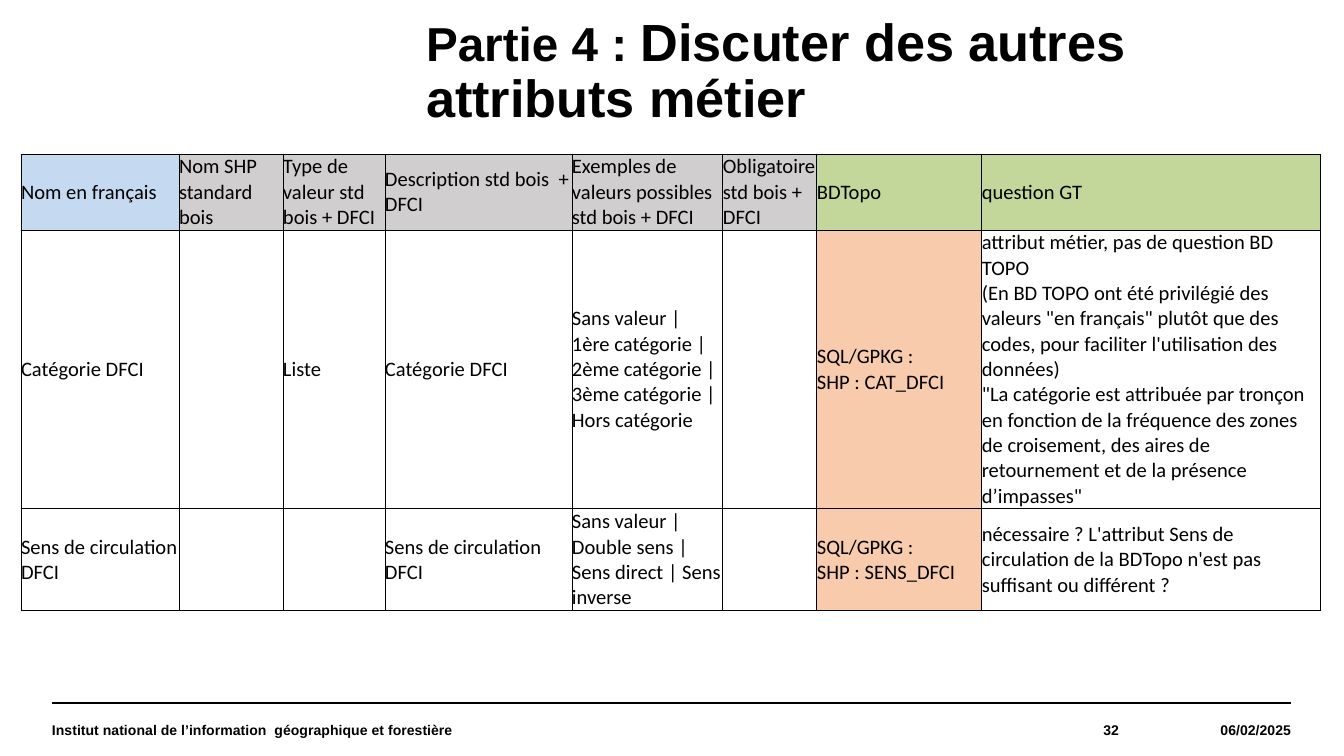
from lxml.etree import SubElement
from pptx import Presentation
from pptx.dml.color import RGBColor
from pptx.enum.shapes import MSO_CONNECTOR
from pptx.enum.text import MSO_ANCHOR, PP_ALIGN
from pptx.oxml.ns import qn
from pptx.util import Emu, Pt

PX = 914400 / 134.4
BLACK, BLUE, GREY, GREEN, ORANGE = "000000", "C5D9F1", "D0CECE", "C4D79B", "F8CBAD"
COLUMN_WIDTHS = [158, 104, 102, 187, 151, 94, 165, 339]
ROW_HEIGHTS = [76, 279, 102]
HEADER_FILLS = [BLUE] + [GREY] * 5 + [GREEN] * 2
BODY_FILLS = [None] * 6 + [ORANGE, None]
ROWS = [
    ["Nom en français", "Nom SHP standard bois", "Type de valeur std bois + DFCI",
     "Description std bois  + DFCI", "Exemples de valeurs possibles std bois + DFCI",
     "Obligatoire std bois + DFCI", "BDTopo", "question GT"],
    ["Catégorie DFCI", "", "Liste", "Catégorie DFCI",
     "Sans valeur | 1ère catégorie | 2ème catégorie | 3ème catégorie | Hors catégorie", "",
     "SQL/GPKG : \nSHP : CAT_DFCI",
     "attribut métier, pas de question BD TOPO\n(En BD TOPO ont été privilégié des valeurs "
     "\"en français\" plutôt que des codes, pour faciliter l'utilisation des données)\r"
     "\"La catégorie est attribuée par tronçon en fonction de la fréquence des zones de "
     "croisement, des aires de retournement et de la présence d’impasses\""],
    ["Sens de circulation DFCI", "", "", "Sens de circulation DFCI",
     "Sans valeur | Double sens | Sens direct | Sens inverse", "",
     "SQL/GPKG : \nSHP : SENS_DFCI",
     "nécessaire ? L'attribut Sens de circulation de la BDTopo n'est pas suffisant ou différent ?"],
]


def px(length):
    """Turn pixels into EMU."""
    return Emu(round(length * PX))


def color(value):
    """Turn a hex string into a colour."""
    return RGBColor.from_string(value)


def add_run(paragraph, text, size, font, bold=False):
    """Append one formatted run."""
    run = paragraph.add_run()
    run.text = text
    run.font.size = Pt(size)
    run.font.name = font
    run.font.bold = bold
    run.font.color.rgb = color(BLACK)


def add_text(slide, left, top, width, height, runs, anchor, align=PP_ALIGN.LEFT):
    """Add a bold text box without insets and return its paragraph."""
    frame = slide.shapes.add_textbox(px(left), px(top), px(width), px(height)).text_frame
    frame.word_wrap = True
    frame.vertical_anchor = anchor
    frame.margin_left = frame.margin_right = frame.margin_top = frame.margin_bottom = 0
    paragraph = frame.paragraphs[0]
    paragraph.alignment = align
    for text, size in runs:
        add_run(paragraph, text, size, "Arial", True)
    return paragraph


def add_title(slide, left, top, width, height):
    """Add the slide title."""
    runs = [("Partie 4 : ", 25.5), ("Discuter des autres attributs métier", 28)]
    paragraph = add_text(slide, left, top, width, height, runs, MSO_ANCHOR.TOP)
    paragraph.line_spacing = 0.9


def add_borders(cell):
    """Draw thin black lines on the four sides of a cell."""
    properties = cell._tc.get_or_add_tcPr()
    for side in ("a:lnL", "a:lnR", "a:lnT", "a:lnB"):
        line = SubElement(properties, qn(side), w=str(Pt(0.5)))
        SubElement(SubElement(line, qn("a:solidFill")), qn("a:srgbClr"), val=BLACK)


def fill_cell(cell, text, fill):
    """Set the borders, fill and text of a cell."""
    add_borders(cell)
    if fill:
        cell.fill.solid()
        cell.fill.fore_color.rgb = color(fill)
    else:
        cell.fill.background()
    cell.margin_left = cell.margin_right = cell.margin_top = cell.margin_bottom = 0
    cell.vertical_anchor = MSO_ANCHOR.MIDDLE
    if not text:
        return
    frame = cell.text_frame
    for index, block in enumerate(text.split("\r")):
        paragraph = frame.add_paragraph() if index else frame.paragraphs[0]
        for number, line in enumerate(block.split("\n")):
            if number:
                paragraph.add_line_break()
            add_run(paragraph, line, 11, "Calibri")


def add_attribute_table(slide, left, top):
    """Add the table of attributes."""
    table = slide.shapes.add_table(
        len(ROWS), len(COLUMN_WIDTHS), px(left), px(top),
        px(sum(COLUMN_WIDTHS)), px(sum(ROW_HEIGHTS))).table
    table.first_row = table.horz_banding = False
    for column, width in zip(table.columns, COLUMN_WIDTHS):
        column.width = px(width)
    for index, (row, height, texts) in enumerate(zip(table.rows, ROW_HEIGHTS, ROWS)):
        row.height = px(height)
        fills = BODY_FILLS if index else HEADER_FILLS
        for cell, text, fill in zip(row.cells, texts, fills):
            fill_cell(cell, text, fill)


def add_footer(slide, left, top, width, height):
    """Add the footer rule, institute, page number and date."""
    rule = slide.shapes.add_connector(
        MSO_CONNECTOR.STRAIGHT, px(left), px(top), px(left + width), px(top))
    rule.line.color.rgb = color(BLACK)
    rule.line.width = Pt(0.8)
    SubElement(rule._element.spPr, qn("a:effectLst"))
    parts = [
        ("Institut national de l’information  géographique et forestière", 868, PP_ALIGN.LEFT),
        ("32", 199, PP_ALIGN.RIGHT),
        ("06/02/2025", 172, PP_ALIGN.RIGHT),
    ]
    for text, part_width, align in parts:
        add_text(slide, left, top, part_width, height, [(text, 7.5)], MSO_ANCHOR.MIDDLE, align)
        left += part_width


def main():
    """Build and save the presentation."""
    presentation = Presentation()
    presentation.slide_width = px(1344)
    presentation.slide_height = px(756)
    slide = presentation.slides.add_slide(presentation.slide_layouts[6])
    add_title(slide, 426, 16, 918, 106)
    add_attribute_table(slide, 21, 154)
    add_footer(slide, 52, 703, 1239, 53)
    presentation.save("out.pptx")


if __name__ == "__main__":
    main()
